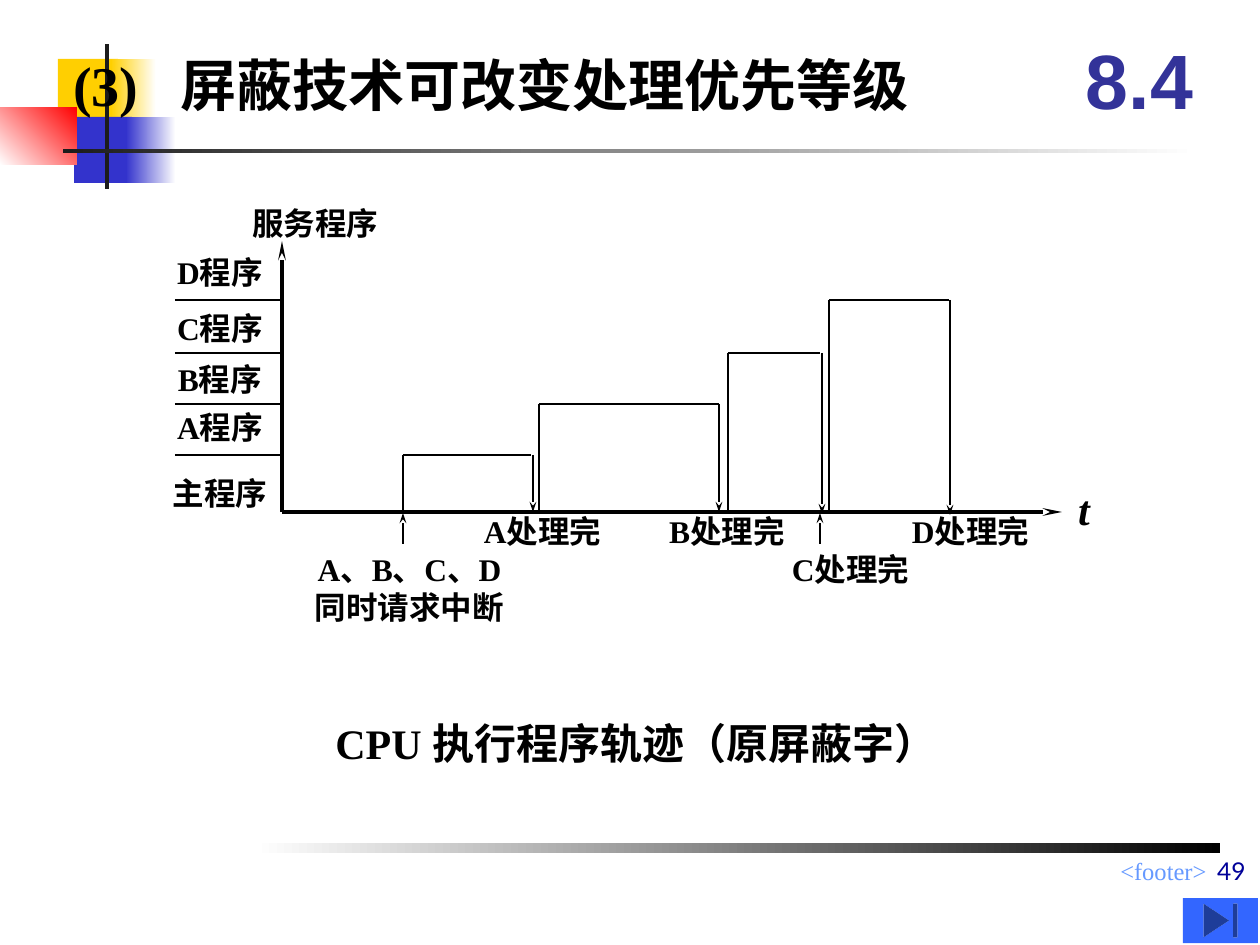
from dataclasses import dataclass
from typing import Optional

from lxml.etree import SubElement
from pptx import Presentation
from pptx.dml.color import RGBColor
from pptx.enum.shapes import MSO_CONNECTOR as Connector, MSO_SHAPE as Preset
from pptx.enum.text import MSO_ANCHOR as Anchor, PP_ALIGN as Align
from pptx.oxml.ns import qn
from pptx.util import Emu, Pt

EMU_PER_PX = 914400 / 126


@dataclass(frozen=True)
class Theme:
    black: str = "000000"
    white: str = "FFFFFF"
    ink: str = "1C1C1C"
    yellow: str = "FFCF01"
    blue: str = "3333CC"
    red: str = "FF0000"
    section: str = "333399"
    footer: str = "6699FF"
    number: str = "000099"
    button: str = "3366FF"
    serif: str = "Times New Roman"
    sans: str = "Arial"
    number_font: str = "Lato"
    title_size: int = 32
    section_size: int = 44
    caption_size: int = 24
    label_size: int = 18
    footer_size: int = 14
    axis_width: float = 2.25
    pulse_width: float = 1.5
    thin_width: float = 1
    hairline: float = 0.75


THEME = Theme()


@dataclass(frozen=True)
class Block:
    left: int
    top: int
    width: int
    height: int
    color: str
    end_color: Optional[str] = None
    angle: int = 180
    preset: Preset = Preset.RECTANGLE


@dataclass(frozen=True)
class Label:
    text: str
    left: int
    top: int
    width: int
    height: int
    size: int = THEME.label_size
    color: str = THEME.black
    font: str = THEME.serif
    bold: bool = True
    italic: bool = False
    align: Align = Align.CENTER
    anchor: Anchor = Anchor.TOP
    inset: bool = False
    tab: Optional[int] = None


@dataclass(frozen=True)
class Line:
    x1: int
    y1: int
    x2: int
    y2: int
    width: float
    arrow_length: Optional[str] = None


@dataclass(frozen=True)
class Pulse:
    name: str
    start: int
    end: int
    top: int
    fall_x: int
    fall_y: int
    fall_width: float


AXIS_X, AXIS_Y = 282, 512
LEVEL_LEFT = 175
MARK_TOP, MARK_BOTTOM = 513, 544

BLOCKS = [
    Block(58, 59, 60, 66, THEME.yellow),
    Block(111, 59, 45, 66, THEME.white, THEME.yellow),
    Block(74, 117, 58, 66, THEME.blue),
    Block(126, 117, 50, 66, THEME.white, THEME.blue),
    Block(0, 107, 77, 58, THEME.red, THEME.white, 225),
    Block(105, 44, 4, 145, THEME.ink),
    Block(63, 149, 1134, 4, THEME.white, THEME.ink),
    Block(254, 843, 966, 10, THEME.black, THEME.white),
    Block(1183, 898, 75, 45, THEME.button, preset=Preset.ACTION_BUTTON_END),
]

PULSES = [
    Pulse("A", 403, 531, 455, 533, 512, THEME.pulse_width),
    Pulse("B", 539, 719, 404, 719, 512, THEME.thin_width),
    Pulse("C", 728, 820, 353, 822, 514, THEME.thin_width),
    Pulse("D", 829, 949, 300, 950, 515, THEME.pulse_width),
]

ROW_TOPS = {"主": 474, "A": 408, "B": 360, "C": 309, "D": 253}

LABELS = [
    Label("<footer>", 494, 850, 725, 33, THEME.footer_size, THEME.footer,
          bold=False, align=Align.RIGHT, inset=True),
    Label("49", 656, 829, 602, 63, THEME.footer_size, THEME.number, THEME.number_font,
          bold=False, align=Align.RIGHT, anchor=Anchor.BOTTOM, inset=True),
    Label("(3)\t屏蔽技术可改变处理优先等级", 73, 55, 914, 59, THEME.title_size,
          align=Align.LEFT, anchor=Anchor.MIDDLE, tab=107),
    Label("8.4", 1061, 21, 157, 116, THEME.section_size, THEME.section, THEME.sans,
          anchor=Anchor.MIDDLE, inset=True),
    Label("服务程序", 229, 204, 173, 48),
    Label("t", 1052, 483, 64, 47, THEME.caption_size, italic=True),
    Label("A处理完", 474, 512, 137, 45),
    Label("B处理完", 650, 512, 154, 40),
    Label("C处理完", 775, 550, 151, 44),
    Label("D处理完", 902, 512, 137, 45),
    Label("A、B、C、D\n同时请求中断", 314, 550, 191, 72),
    Label("CPU 执行程序轨迹（原屏蔽字）", 323, 711, 714, 63, THEME.caption_size,
          align=Align.LEFT, inset=True),
    *[Label(f"{name}程序", 164, top, 112, 47) for name, top in ROW_TOPS.items()],
]


def px(value: int) -> Emu:
    return Emu(round(value * EMU_PER_PX))


def draw_block(slide, block: Block) -> None:
    shape = slide.shapes.add_shape(
        block.preset, px(block.left), px(block.top), px(block.width), px(block.height))
    shape.shadow.inherit = False
    shape.line.fill.background()
    if block.end_color is None:
        shape.fill.solid()
        shape.fill.fore_color.rgb = RGBColor.from_string(block.color)
        return
    shape.fill.gradient()
    shape.fill.gradient_angle = block.angle
    for stop, color in zip(shape.fill.gradient_stops, (block.color, block.end_color)):
        stop.color.rgb = RGBColor.from_string(color)


def draw_label(slide, label: Label) -> None:
    box = slide.shapes.add_textbox(
        px(label.left), px(label.top), px(label.width), px(label.height))
    frame = box.text_frame
    frame.word_wrap = True
    frame.vertical_anchor = label.anchor
    if not label.inset:
        frame.margin_left = frame.margin_right = 0
        frame.margin_top = frame.margin_bottom = 0
    frame.text = label.text
    for paragraph in frame.paragraphs:
        paragraph.alignment = label.align
        if label.tab is not None:
            tabs = SubElement(paragraph._p.get_or_add_pPr(), qn("a:tabLst"))
            SubElement(tabs, qn("a:tab"), pos=str(px(label.tab)), algn="l")
        font = paragraph.font
        font.name = label.font
        font.size = Pt(label.size)
        font.bold = label.bold
        font.italic = label.italic
        font.color.rgb = RGBColor.from_string(label.color)


def draw_line(slide, line: Line) -> None:
    connector = slide.shapes.add_connector(
        Connector.STRAIGHT, px(line.x1), px(line.y1), px(line.x2), px(line.y2))
    connector.line.width = Pt(line.width)
    connector.line.color.rgb = RGBColor.from_string(THEME.black)
    if line.arrow_length:
        SubElement(connector.line._get_or_add_ln(), qn("a:tailEnd"),
                   type="stealth", w="sm", len=line.arrow_length)
    SubElement(connector._element.spPr, qn("a:effectLst"))


def draw_pulse(slide, pulse: Pulse) -> None:
    draw_line(slide, Line(LEVEL_LEFT, pulse.top, AXIS_X, pulse.top, THEME.hairline))
    draw_line(slide, Line(pulse.start, pulse.top, pulse.start, AXIS_Y, THEME.pulse_width))
    draw_line(slide, Line(pulse.start, pulse.top, pulse.end, pulse.top, THEME.pulse_width))
    draw_line(slide, Line(pulse.fall_x, pulse.top, pulse.fall_x, pulse.fall_y,
                          pulse.fall_width, "med"))


def main() -> None:
    presentation = Presentation()
    presentation.slide_width, presentation.slide_height = px(1260), px(945)
    slide = presentation.slides.add_slide(presentation.slide_layouts[6])
    for block in BLOCKS:
        draw_block(slide, block)
    draw_line(slide, Line(AXIS_X, AXIS_Y, 1062, AXIS_Y, THEME.axis_width, "lg"))
    draw_line(slide, Line(AXIS_X, AXIS_Y, AXIS_X, 241, THEME.axis_width, "lg"))
    for pulse in PULSES:
        draw_pulse(slide, pulse)
    for mark_x in (403, 820):
        draw_line(slide, Line(mark_x, MARK_BOTTOM, mark_x, MARK_TOP, THEME.hairline, "med"))
    for label in LABELS:
        draw_label(slide, label)
    presentation.save("out.pptx")


if __name__ == "__main__":
    main()
